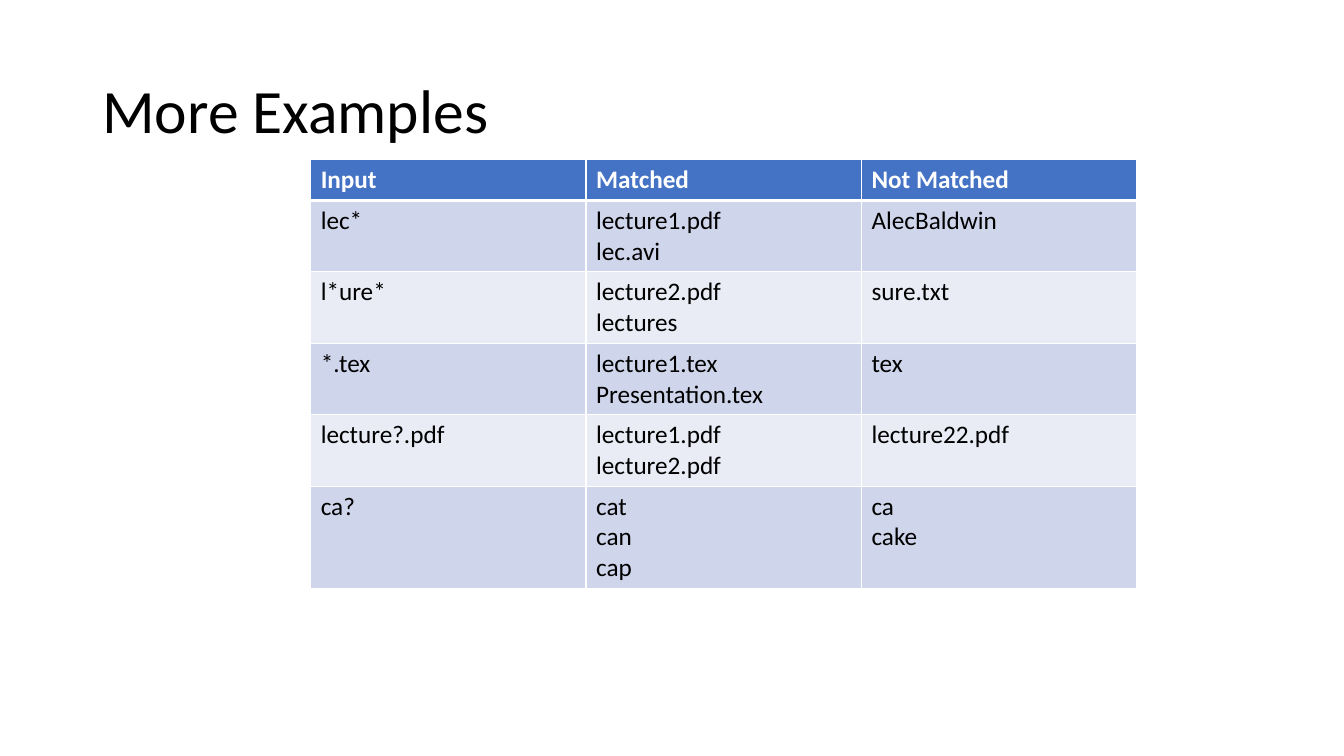
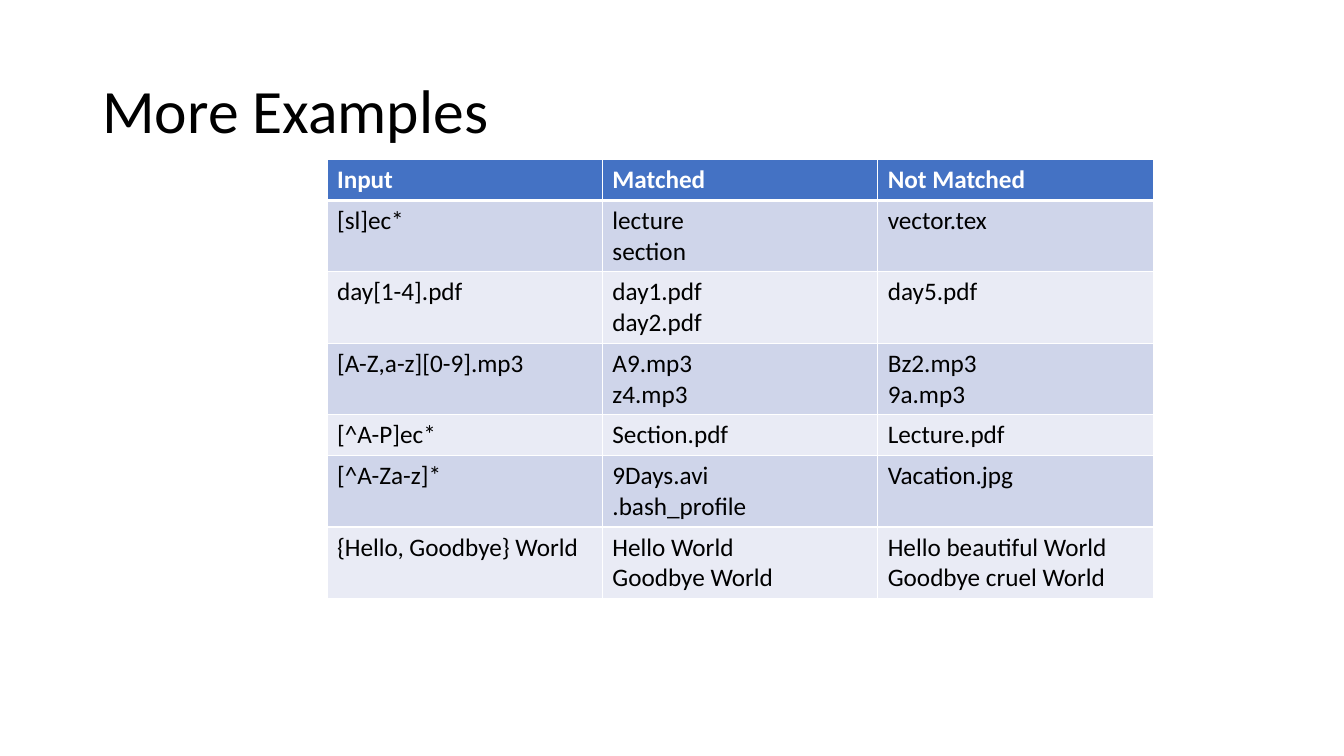
"""Build two slides of file name pattern examples."""
from lxml import etree
from pptx import Presentation
from pptx.dml.color import RGBColor
from pptx.enum.text import MSO_ANCHOR
from pptx.oxml.ns import qn
from pptx.util import Cm, Pt

MIDDLE = MSO_ANCHOR.MIDDLE
BLACK = RGBColor(0, 0, 0)
WHITE = RGBColor(255, 255, 255)
BLUE = RGBColor(0x44, 0x72, 0xC4)
BANDS = RGBColor(0xE9, 0xEB, 0xF5), RGBColor(0xCF, 0xD5, 0xEA)
FONT = "Calibri"
TOP, WIDE = 4.02, 6.94
PAD, LINE = 0.26, 0.77
HEAD = ("Input", "Matched", "Not Matched")
STARS = [
    ("lec*", "lecture1.pdf\nlec.avi", "AlecBaldwin"),
    ("l*ure*", "lecture2.pdf\nlectures", "sure.txt"),
    ("*.tex", "lecture1.tex\nPresentation.tex", "tex"),
    ("lecture?.pdf", "lecture1.pdf\nlecture2.pdf", "lecture22.pdf"),
    ("ca?", "cat\ncan\ncap", "ca\ncake"),
]
SETS = [
    ("[sl]ec*", "lecture\nsection", "vector.tex"),
    ("day[1-4].pdf", "day1.pdf\nday2.pdf", "day5.pdf"),
    ("[A-Z,a-z][0-9].mp3", "A9.mp3\nz4.mp3", "Bz2.mp3\n9a.mp3"),
    ("[^A-P]ec*", "Section.pdf", "Lecture.pdf"),
    ("[^A-Za-z]*", "9Days.avi\n.bash_profile", "Vacation.jpg"),
    ("{Hello, Goodbye} World", "Hello World\nGoodbye World",
     "Hello beautiful World\nGoodbye cruel World"),
]


def write(frame, text, size=18, color=BLACK, bold=False, space=1.0):
    frame.text = text
    for para in frame.paragraphs:
        para.line_spacing = space
        for run in para.runs:
            font = run.font
            font.name, font.size, font.bold = FONT, Pt(size), bold
            font.color.rgb = color


def add_title(slide, text):
    box = slide.shapes.add_textbox(Cm(2.33), Cm(1.01), Cm(29.21), Cm(3.68))
    frame = box.text_frame
    frame.word_wrap = True
    frame.vertical_anchor = MIDDLE
    write(frame, text, size=44, space=0.9)


def add_edges(cell, row):
    props = cell._tc.get_or_add_tcPr()
    for place, side in enumerate("LRTB"):
        thick = (row, side) in ((0, "B"), (1, "T"))
        edge = etree.Element(qn(f"a:ln{side}"), w=str(Pt(3 if thick else 1)))
        fill = etree.SubElement(edge, qn("a:solidFill"))
        etree.SubElement(fill, qn("a:srgbClr"), val=str(WHITE))
        props.insert(place, edge)


def add_grid(slide, left, rows):
    rows = [HEAD] + rows
    tall = [PAD + LINE * max(len(text.split("\n")) for text in row)
            for row in rows]
    grid = slide.shapes.add_table(
        len(rows), len(HEAD), Cm(left), Cm(TOP),
        Cm(WIDE * len(HEAD)), Cm(sum(tall))).table
    for col in grid.columns:
        col.width = Cm(WIDE)
    for y, row in enumerate(rows):
        grid.rows[y].height = Cm(tall[y])
        for x, text in enumerate(row):
            cell = grid.cell(y, x)
            cell.fill.solid()
            cell.fill.fore_color.rgb = BANDS[y % 2] if y else BLUE
            add_edges(cell, y)
            write(cell.text_frame, text,
                  color=BLACK if y else WHITE, bold=not y)


def main():
    deck = Presentation()
    deck.slide_width, deck.slide_height = Cm(33.87), Cm(19.05)
    for left, rows in ((7.83, STARS), (8.24, SETS)):
        slide = deck.slides.add_slide(deck.slide_layouts[6])
        add_title(slide, "More Examples")
        add_grid(slide, left, rows)
    deck.save("out.pptx")


if __name__ == "__main__":
    main()
